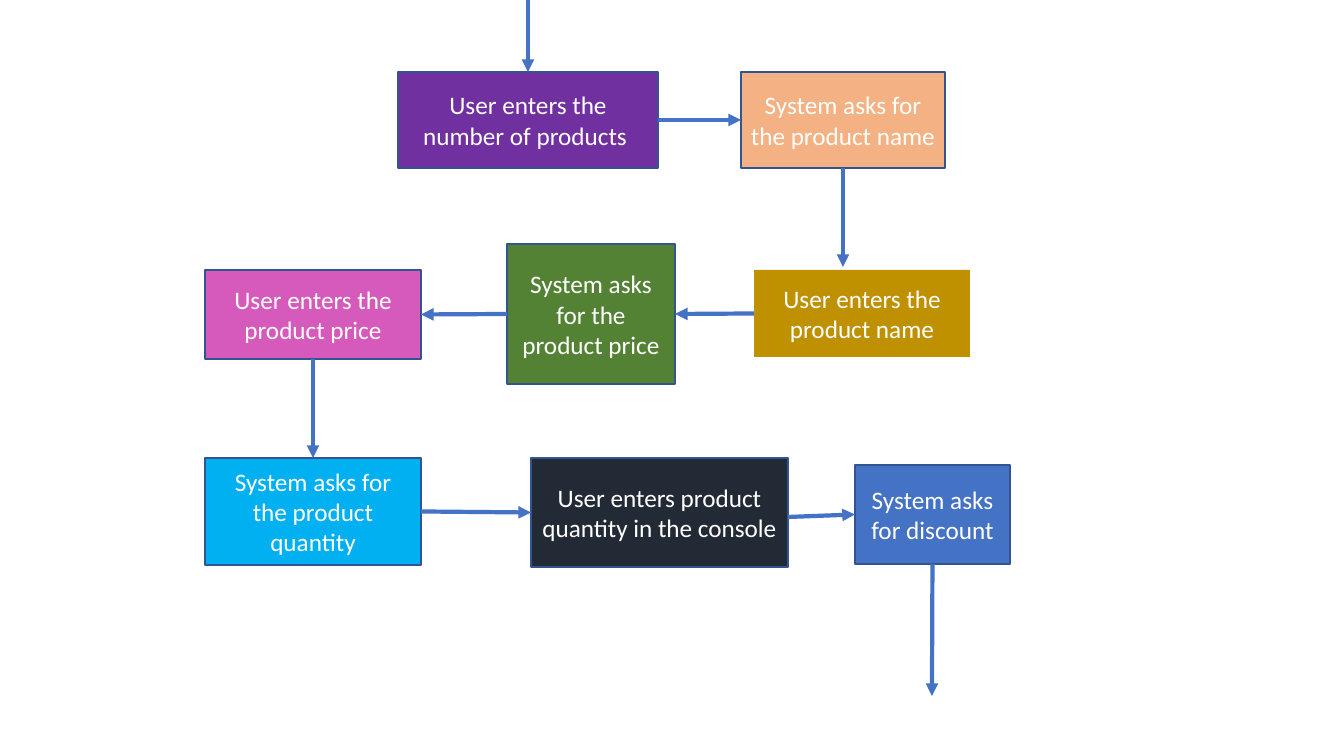
from lxml import etree
from pptx import Presentation
from pptx.dml.color import RGBColor
from pptx.enum.shapes import MSO_CONNECTOR, MSO_SHAPE
from pptx.enum.text import MSO_ANCHOR, PP_ALIGN
from pptx.oxml.ns import qn
from pptx.util import Emu, Pt

RECTANGLE = MSO_SHAPE.RECTANGLE
STRAIGHT = MSO_CONNECTOR.STRAIGHT
MIDDLE = MSO_ANCHOR.MIDDLE
CENTER = PP_ALIGN.CENTER
TOP, LEFT, BOTTOM, RIGHT = range(4)

SLIDE_SIZE = (1344, 756)
EMU_PER_PX = 914400 / 100.8
ARROW_COLOR = "4472C4"
BORDER_COLOR = "325491"
TEXT_COLOR = "FFFFFF"
TEXT_FORMAT = {"name": "Calibri", "size": Pt(18)}

STEPS = {
    "enter count": ("User enters the number of products ", (398, 72, 260, 96), "7030A0", BORDER_COLOR),
    "ask name": ("System asks for the product name", (741, 72, 204, 96), "F4B183", BORDER_COLOR),
    "enter name": ("User enters the product name", (754, 270, 216, 87), "BF9000", None),
    "ask price": ("System asks for the product price", (507, 244, 168, 140), "548235", BORDER_COLOR),
    "enter price": ("User enters the product price", (205, 270, 216, 89), "D65ABB", BORDER_COLOR),
    "ask quantity": ("System asks for the product quantity", (205, 458, 216, 107), "00B0F0", BORDER_COLOR),
    "enter quantity": ("User enters product quantity in the console", (531, 458, 257, 109), "222A35", BORDER_COLOR),
    "ask discount": ("System asks for discount", (855, 465, 155, 99), "4472C4", BORDER_COLOR),
}

ARROWS = [
    ((528, 0), ("enter count", TOP)),
    (("enter count", RIGHT), ("ask name", LEFT)),
    (("ask name", BOTTOM), (843, 267)),
    (("enter name", LEFT), ("ask price", RIGHT)),
    (("ask price", LEFT), ("enter price", RIGHT)),
    (("enter price", BOTTOM), ("ask quantity", TOP)),
    (("ask quantity", RIGHT), ("enter quantity", LEFT)),
    ((788, 517), ("ask discount", LEFT)),
    (("ask discount", BOTTOM), (932, 696)),
]


def px(length):
    return Emu(round(length * EMU_PER_PX))


def color(value):
    return RGBColor.from_string(value)


def add_step(slide, text, place, fill, border):
    step = slide.shapes.add_shape(RECTANGLE, *map(px, place))
    step.shadow.inherit = False
    step.fill.solid()
    step.fill.fore_color.rgb = color(fill)
    if border:
        step.line.color.rgb = color(border)
        step.line.width = Pt(1)
    else:
        step.line.fill.background()
    frame = step.text_frame
    frame.word_wrap = True
    frame.vertical_anchor = MIDDLE
    paragraph = frame.paragraphs[0]
    paragraph.alignment = CENTER
    run = paragraph.add_run()
    run.text = text
    for attribute, value in TEXT_FORMAT.items():
        setattr(run.font, attribute, value)
    run.font.color.rgb = color(TEXT_COLOR)
    return step


def end_point(end):
    if end[0] not in STEPS:
        return end
    left, top, width, height = STEPS[end[0]][1]
    return {
        TOP: (left + width / 2, top),
        LEFT: (left, top + height / 2),
        BOTTOM: (left + width / 2, top + height),
        RIGHT: (left + width, top + height / 2),
    }[end[1]]


def add_arrow(slide, steps, start, finish):
    points = (*end_point(start), *end_point(finish))
    arrow = slide.shapes.add_connector(STRAIGHT, *map(px, points))
    for end, connect in ((start, arrow.begin_connect), (finish, arrow.end_connect)):
        if end[0] in steps:
            connect(steps[end[0]], end[1])
    arrow.line.color.rgb = color(ARROW_COLOR)
    arrow.line.width = Pt(3)
    head = etree.SubElement(arrow.line._get_or_add_ln(), qn("a:tailEnd"))
    head.set("type", "triangle")
    etree.SubElement(arrow._element.spPr, qn("a:effectLst"))


def main():
    presentation = Presentation()
    presentation.slide_width, presentation.slide_height = map(px, SLIDE_SIZE)
    slide = presentation.slides.add_slide(presentation.slide_layouts[6])
    steps = {key: add_step(slide, *step) for key, step in STEPS.items()}
    for start, finish in ARROWS:
        add_arrow(slide, steps, start, finish)
    presentation.save("out.pptx")


if __name__ == "__main__":
    main()
